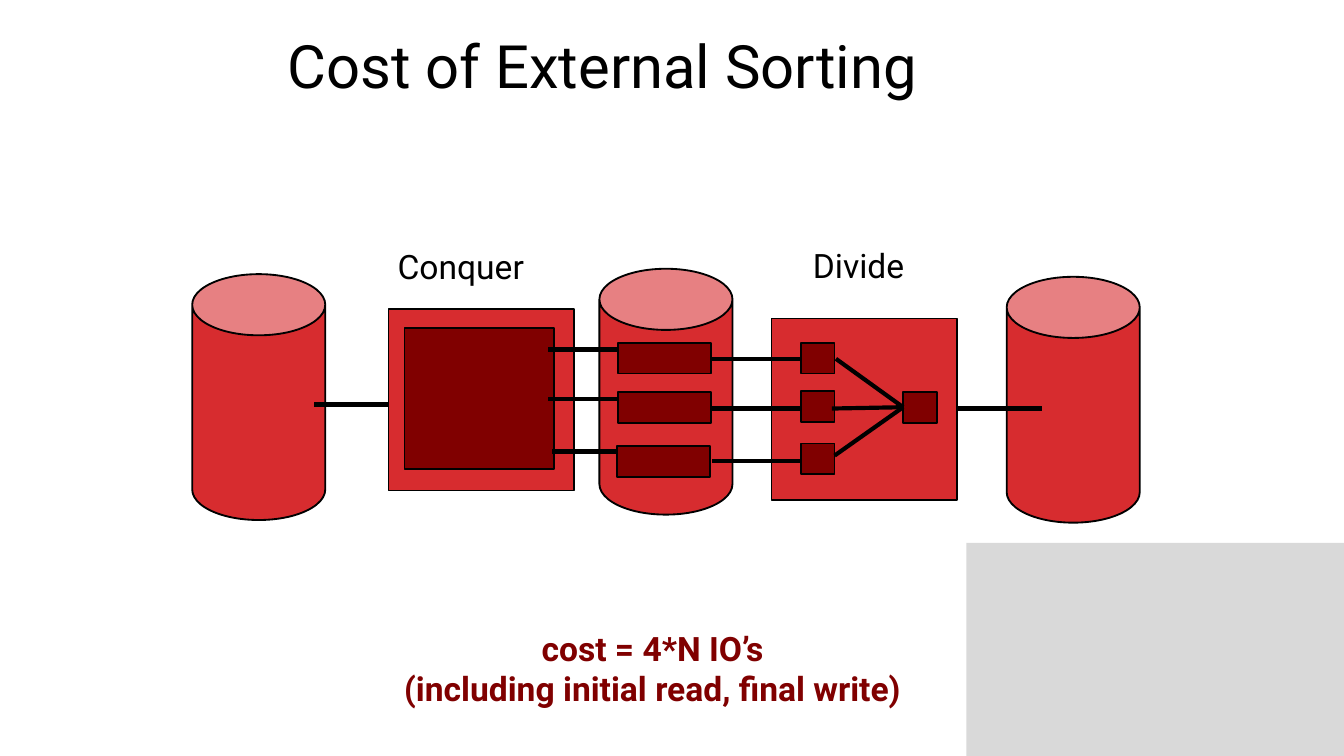
import pptx
import pptx.util
import pptx.dml.color
import pptx.enum.shapes
import pptx.enum.text
import pptx.oxml.ns
import lxml.etree

Inches = pptx.util.Inches
Pt = pptx.util.Pt
SHAPES = pptx.enum.shapes.MSO_SHAPE
ALIGN = pptx.enum.text.PP_ALIGN
ANCHOR = pptx.enum.text.MSO_ANCHOR
AUTO_SIZE = pptx.enum.text.MSO_AUTO_SIZE

FONT = "Roboto"
BLACK = "000000"
RED = "D72C2F"
MAROON = "800000"
GREY = "D9D9D9"


def rgb(color):
    return pptx.dml.color.RGBColor.from_string(color)


def add_block(slide, kind, left, top, width, height, fill, outlined=True):
    block = slide.shapes.add_shape(
        kind, Inches(left), Inches(top), Inches(width), Inches(height))
    block.shadow.inherit = False
    block.fill.solid()
    block.fill.fore_color.rgb = rgb(fill)
    if outlined:
        block.line.color.rgb = rgb(BLACK)
        block.line.width = Pt(1)
    else:
        block.line.fill.background()
    return block


def add_disk(slide, left, top):
    disk = add_block(slide, SHAPES.CAN, left, top, 0.99, 1.83, RED)
    disk.adjustments[0] = 0.46


def add_box(slide, left, top, width, height, fill):
    add_block(slide, SHAPES.RECTANGLE, left, top, width, height, fill)


def add_flow(slide, x1, y1, x2, y2):
    flow = slide.shapes.add_connector(
        pptx.enum.shapes.MSO_CONNECTOR.STRAIGHT,
        Inches(x1), Inches(y1), Inches(x2), Inches(y2))
    flow.line.color.rgb = rgb(BLACK)
    flow.line.width = Pt(2.25)
    lxml.etree.SubElement(
        flow._element.spPr, pptx.oxml.ns.qn("a:effectLst"))


def format_text(frame, size, color, align, bold=False):
    for paragraph in frame.paragraphs:
        paragraph.alignment = align
        for run in paragraph.runs:
            run.font.name = FONT
            run.font.size = Pt(size)
            run.font.bold = bold
            run.font.color.rgb = rgb(color)


def add_title(slide, text):
    title = slide.shapes.title
    title.left, title.top = Inches(2.04), Inches(0.01)
    title.width, title.height = Inches(6.38), Inches(0.94)
    frame = title.text_frame
    frame.text = text
    frame.auto_size = AUTO_SIZE.NONE
    frame.vertical_anchor = ANCHOR.MIDDLE
    format_text(frame, 32, BLACK, ALIGN.LEFT)


def add_label(slide, text, left, top, width, height, color=BLACK,
              align=ALIGN.LEFT, bold=False):
    label = slide.shapes.add_textbox(
        Inches(left), Inches(top), Inches(width), Inches(height))
    frame = label.text_frame
    frame.text = text
    frame.word_wrap = False
    frame.auto_size = AUTO_SIZE.SHAPE_TO_FIT_TEXT
    format_text(frame, 18, color, align, bold)


def add_disks(slide):
    for left, top in ((1.43, 2.04), (7.49, 2.06), (4.46, 2)):
        add_disk(slide, left, top)
    for left, top in ((4.6, 2.55), (4.6, 2.92), (4.59, 3.32)):
        add_box(slide, left, top, 0.69, 0.23, MAROON)


def add_divide(slide):
    add_flow(slide, 7.75, 3.04, 6.97, 3.04)
    add_box(slide, 5.74, 2.37, 1.38, 1.35, RED)
    for left, top in ((6.72, 2.92), (5.96, 2.55), (5.96, 2.91), (5.96, 3.3)):
        add_box(slide, left, top, 0.25, 0.23, MAROON)
    for x, y in ((6.19, 3.04), (6.22, 2.67), (6.21, 3.39)):
        add_flow(slide, x, y, 6.72, 3.03)
    for y in (2.67, 3.04, 3.43):
        add_flow(slide, 5.96, y, 5.3, y)
    add_label(slide, "Divide", 5.95, 1.77, 0.9, 0.4)


def add_conquer(slide):
    add_label(slide, "Conquer", 2.86, 1.78, 1.18, 0.4)
    add_flow(slide, 2.34, 3.01, 2.95, 3.01)
    add_box(slide, 2.89, 2.3, 1.38, 1.35, RED)
    add_box(slide, 3.01, 2.44, 1.11, 1.05, MAROON)
    for x, y in ((4.08, 2.6), (4.08, 2.97), (4.11, 3.36)):
        add_flow(slide, x, y, 4.59, y)


def main():
    deck = pptx.Presentation()
    deck.slide_width = Inches(10)
    deck.slide_height = deck.slide_width * 9 // 16
    slide = deck.slides.add_slide(deck.slide_layouts[5])
    add_block(slide, SHAPES.RECTANGLE, 7.19, 4.04, 2.81, 1.59, GREY,
              outlined=False)
    add_title(slide, "Cost of External Sorting")
    add_label(slide, "cost = 4*N IO’s\v(including initial read, final write)",
              2.81, 4.62, 4.09, 0.71, MAROON, ALIGN.CENTER, bold=True)
    add_disks(slide)
    add_divide(slide)
    add_conquer(slide)
    deck.save("out.pptx")


if __name__ == "__main__":
    main()
